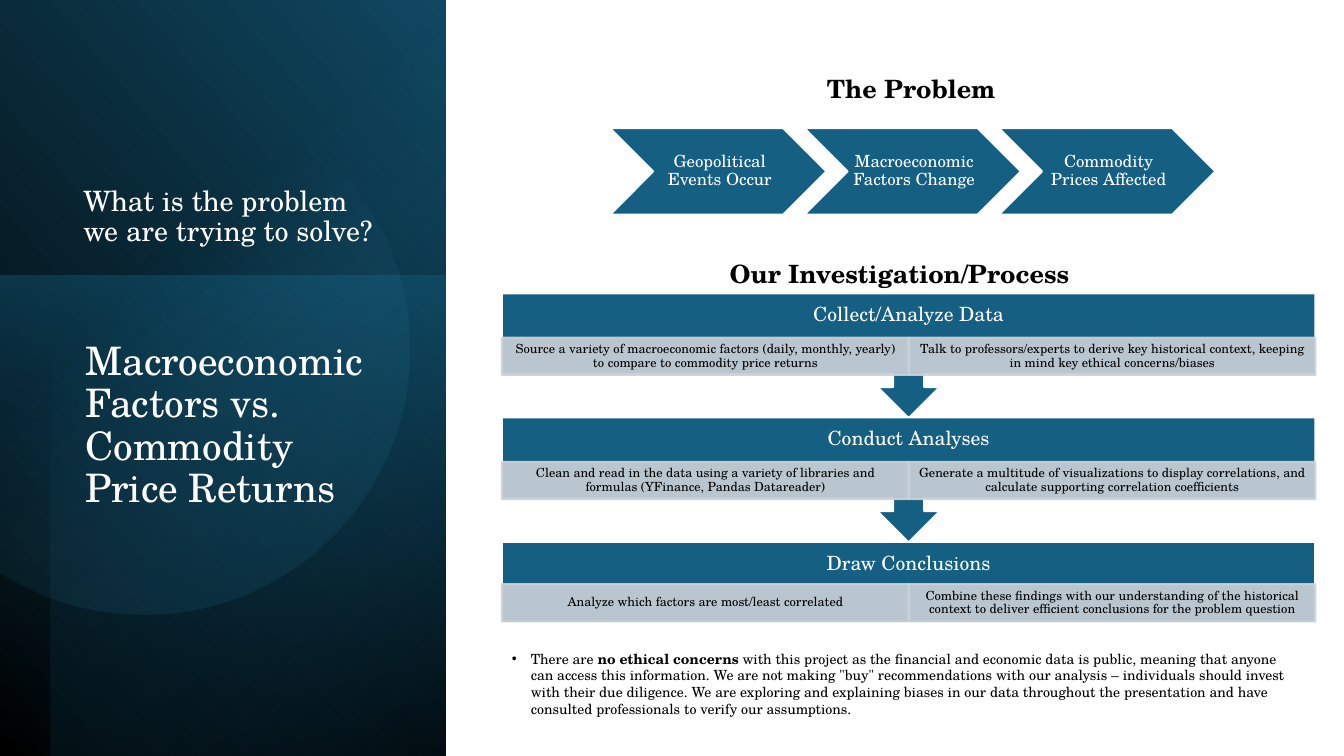
from math import cos, radians, sin

from pptx import Presentation
from pptx import util as u
from pptx.dml.color import RGBColor
from pptx.enum import shapes, text
from pptx.oxml.ns import qn
from lxml import etree

FONT = "TeX Gyre Schola"
WHITE, BLACK, TEAL, NAVY, GREY = "FFFFFF", "000000", "156082", "104862", "CCD2D8"
KIND = shapes.MSO_SHAPE
MIDDLE = text.MSO_ANCHOR.MIDDLE
CENTER = text.PP_ALIGN.CENTER

STEPS = [
    ("Collect/Analyze Data",
     "Source a variety of macroeconomic factors (daily, monthly, yearly) to compare to commodity price returns",
     "Talk to professors/experts to derive key historical context, keeping in mind key ethical concerns/biases"),
    ("Conduct Analyses",
     "Clean and read in the data using a variety of libraries and formulas (YFinance, Pandas Datareader)",
     "Generate a multitude of visualizations to display correlations, and calculate supporting correlation coefficients"),
    ("Draw Conclusions",
     "Analyze which factors are most/least correlated",
     "Combine these findings with our understanding of the historical context to deliver efficient conclusions "
     "for the problem question"),
]
CAUSES = ["Geopolitical Events Occur", "Macroeconomic Factors Change", "Commodity Prices Affected"]
ETHICS = ("There are **no ethical concerns** with this project as the financial and economic data is public, "
          "meaning that anyone can access this information. We are not making \"buy\" recommendations with our "
          "analysis – individuals should invest with their due diligence. We are exploring and explaining biases "
          "in our data throughout the presentation and have consulted professionals to verify our assumptions.")


def color(value):
    return RGBColor.from_string(value)


def set_opacity(element, percent):
    etree.SubElement(element, qn("a:alpha")).set("val", str(percent * 1000))


def write(shape, content, size=12, ink=BLACK, bold=False, align=None, anchor=text.MSO_ANCHOR.TOP,
          leading=None, insets=(0.25, 0.13, 0.25, 0.13), bullet=False):
    """Fill a shape with one paragraph; **double stars** switch bold, a newline breaks the line."""
    box = shape.text_frame
    box.word_wrap, box.vertical_anchor = True, anchor
    box.margin_left, box.margin_top, box.margin_right, box.margin_bottom = map(u.Cm, insets)
    para = box.paragraphs[0]
    if bullet:
        properties = para._p.get_or_add_pPr()
        properties.set("marL", str(u.Cm(0.48)))
        properties.set("indent", str(u.Cm(-0.48)))
        etree.SubElement(properties, qn("a:buFont")).set("typeface", "Arial")
        etree.SubElement(properties, qn("a:buChar")).set("char", "•")
    para.alignment = align
    if leading:
        para.line_spacing = leading
    for row, line in enumerate(content.split("\n")):
        if row:
            para.add_line_break()
        for index, part in enumerate(line.split("**")):
            span = para.add_run()
            span.text = part
            span.font.name, span.font.size = FONT, u.Pt(size)
            span.font.bold = bold or index % 2 == 1
            span.font.color.rgb = color(ink)


def add_text(page, box, content, **style):
    write(page.shapes.add_textbox(*map(u.Cm, box)), content, **style)


def add_solid(page, kind, box, fill, line, opacity=None):
    shape = page.shapes.add_shape(kind, *map(u.Cm, box))
    shape.shadow.inherit = False
    shape.fill.solid()
    shape.fill.fore_color.rgb = color(fill)
    shape.line.color.rgb = color(line)
    shape.line.width = u.Pt(1.5)
    if opacity:
        for shade in shape._element.spPr.iter(qn("a:srgbClr")):
            set_opacity(shade, opacity)
    return shape


def apply_gradient(shape, stops, angle):
    """Stops are (position, colour, opacity); the angle runs clockwise."""
    shape.shadow.inherit = False
    shape.line.fill.background()
    shape.fill.gradient()
    shape.fill.gradient_angle = 360 - angle
    for stop, (position, shade, _) in zip(shape.fill.gradient_stops, stops):
        stop.position = position / 100
        stop.color.rgb = color(shade)
    for element, (_, _, opacity) in zip(shape._element.spPr.iter(qn("a:srgbClr")), stops):
        set_opacity(element, opacity)


def add_turned_panel(page, box, turn, stops, angle, flip=False):
    """Cover the box with a rectangle turned by a quarter or three quarters."""
    left, top, width, height = box
    shift = (width - height) / 2
    panel = page.shapes.add_shape(KIND.RECTANGLE, *map(u.Cm, (left + shift, top - shift, height, width)))
    panel.rotation = turn
    if flip:
        panel._element.spPr.xfrm.set("flipH", "1")
    apply_gradient(panel, stops, angle)


def add_disc(page, center_x, center_y, radius):
    """Draw a disc cut off by the left edge of the slide."""
    points = [(u.Cm(max(0, center_x + radius * cos(radians(a)))), u.Cm(center_y + radius * sin(radians(a))))
              for a in range(-123, 124, 3)]
    builder = page.shapes.build_freeform(*points[0])
    builder.add_line_segments(points[1:], close=True)
    apply_gradient(builder.convert_to_shape(), [(39, "46B1E1", 0), (100, NAVY, 26)], 51.6)


def draw_sidebar(page, left, top, width, height):
    add_turned_panel(page, (left, top, width, height), 90, [(0, BLACK, 100), (100, NAVY, 100)], 310, flip=True)
    add_turned_panel(page, (left, top + 6.95, width, height - 6.95), 270,
                     [(0, TEAL, 50), (100, "0B3041", 0)], 190)
    add_turned_panel(page, (left + 1.27, top, width - 1.27, height), 270,
                     [(0, BLACK, 59), (69, TEAL, 0)], 220, flip=True)
    add_disc(page, left + 3.63, top + 8.8, 6.68)
    add_text(page, (left + 1.9, top + 8.48, 8, 8.53), "Macroeconomic Factors vs. Commodity Price Returns",
             size=28, ink=WHITE, leading=0.9)
    add_text(page, (left + 1.85, top + 2.24, 8.1, 4.14), "What is the problem\nwe are trying to solve?",
             size=20, ink=WHITE, leading=0.9, anchor=text.MSO_ANCHOR.BOTTOM)


def draw_heading(page, box, content):
    add_text(page, box, content, size=18, bold=True)


def draw_problem(page, left, top):
    draw_heading(page, (left + 5.22, top, 5, 1.02), "The Problem")
    for index, cause in enumerate(CAUSES):
        chevron = add_solid(page, KIND.CHEVRON, (left + index * 4.9, top + 1.5, 5.46, 2.18), TEAL, WHITE)
        write(chevron, cause, size=12, ink=WHITE, align=CENTER, anchor=MIDDLE, leading=0.9,
              insets=(0.13, 0.05, 0.05, 0.05))


def draw_process(page, left, top, width):
    draw_heading(page, (left + 5.49, top, 9.75, 1.02), "Our Investigation/Process")
    for index, (stage, *details) in enumerate(STEPS):
        y = top + 1.01 + index * 3.13
        last = index == len(STEPS) - 1
        kind, height, drop = (KIND.RECTANGLE, 2.06, 1.07) if last else (KIND.DOWN_ARROW_CALLOUT, 3.15, 1.12)
        band = add_solid(page, kind, (left, y, width, height), TEAL, WHITE)
        write(band, stage, size=14, ink=WHITE, align=CENTER, anchor=MIDDLE, leading=0.9,
              insets=(0.28, 0.28, 0.28, 1.22))
        for column, detail in enumerate(details):
            box = (left + column * width / 2, y + drop, width / 2, 0.94)
            write(add_solid(page, KIND.RECTANGLE, box, GREY, GREY, opacity=90), detail, size=9,
                  align=CENTER, anchor=MIDDLE, leading=0.9, insets=(0.18, 0.03, 0.18, 0.03))


def main():
    deck = Presentation()
    deck.slide_width, deck.slide_height = u.Cm(33.87), u.Cm(19.05)
    page = deck.slides.add_slide(deck.slide_layouts[6])
    draw_sidebar(page, 0, 0, 11.23, 19.05)
    draw_problem(page, 15.37, 1.73)
    draw_process(page, 12.65, 6.38, 20.5)
    add_text(page, (12.65, 16.25, 20.3, 1.96), ETHICS, size=10, bullet=True)
    deck.save("out.pptx")


if __name__ == "__main__":
    main()
